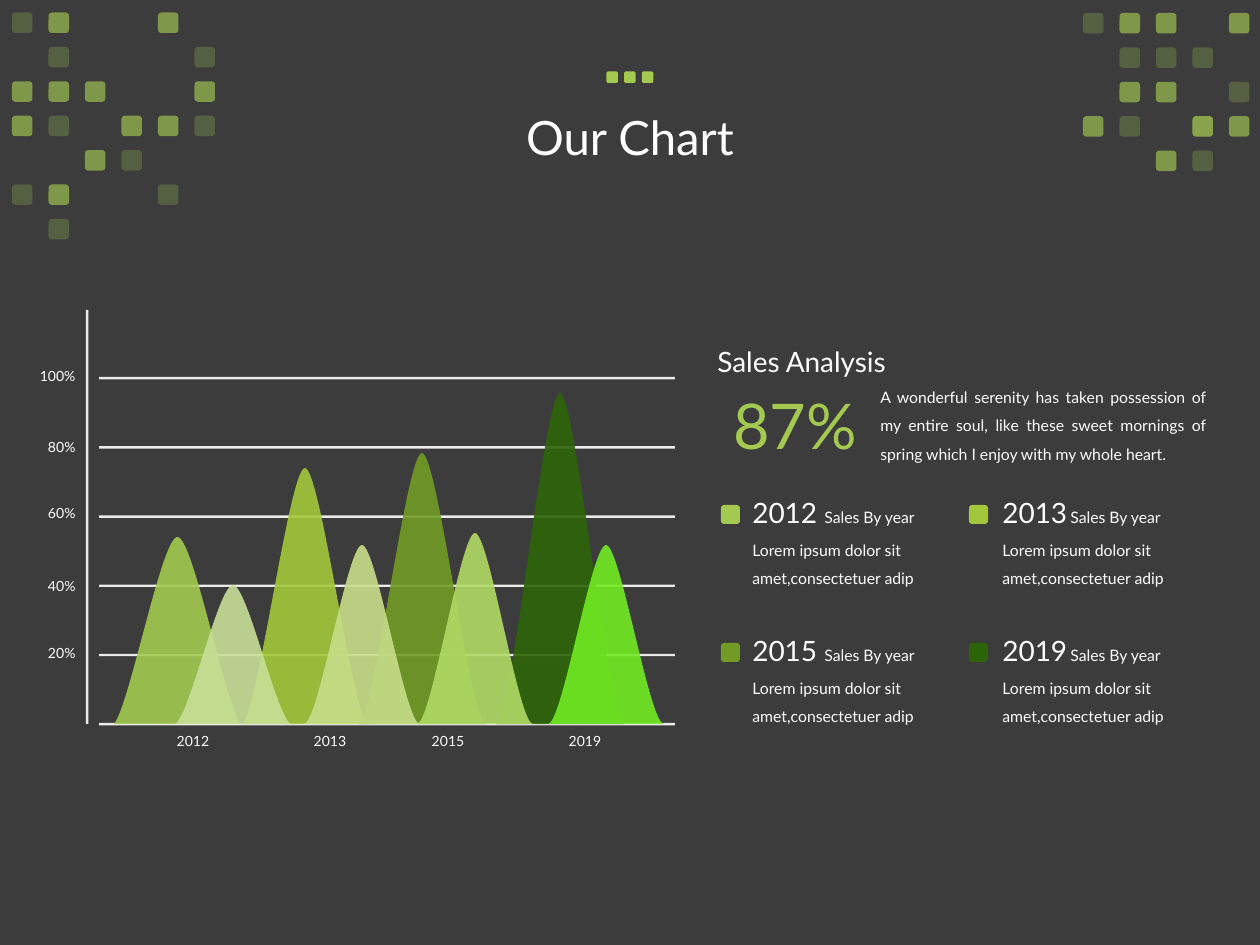
from lxml.etree import SubElement
from pptx import Presentation
from pptx.dml.color import RGBColor
from pptx.enum.shapes import MSO_SHAPE
from pptx.enum.text import MSO_ANCHOR, PP_ALIGN
from pptx.oxml.ns import qn
from pptx.util import Pt

PX = 9144000 / 1260
FONT = "Lato"
DARK = RGBColor(0x3C, 0x3C, 0x3C)
WHITE = RGBColor(0xFF, 0xFF, 0xFF)
LIME = RGBColor(0xA3, 0xC9, 0x51)
MOSS = RGBColor(0xA3, 0xC7, 0x3A)
OLIVE = RGBColor(0x72, 0x9B, 0x25)
FOREST = RGBColor(0x2D, 0x64, 0x09)
PALE = RGBColor(0xC8, 0xDF, 0x97)
NEON = RGBColor(0x72, 0xEB, 0x22)
LEAF = RGBColor(0xB1, 0xDA, 0x65)
SAND = RGBColor(0xC8, 0xDD, 0x89)

BASE = 724
PEAKS = [
    (114, 127, 537, 0.1, LIME),
    (496, 128, 393, 0, FOREST),
    (241, 128, 468, 0, MOSS),
    (358, 128, 453, 0, OLIVE),
    (175, 116, 585, 0.05, PALE),
    (548, 116, 545, 0, NEON),
    (417, 116, 533, 0, LEAF),
    (304, 116, 545, 0, SAND),
]
TICKS = [("20%", 638), ("40%", 571), ("60%", 498), ("80%", 432), ("100%", 361)]
YEARS = [("2012", 164), ("2013", 301), ("2015", 419), ("2019", 556)]
CARDS = [
    ("2012", 721, 740, 812, LIME),
    ("2013", 969, 990, 1058, MOSS),
    ("2015", 721, 740, 812, OLIVE),
    ("2019", 969, 990, 1058, FOREST),
]
LOREM = "Lorem ipsum dolor sit amet,consectetuer adip"
QUOTE = ("A wonderful serenity has taken possession of my entire soul, like these "
         "sweet mornings of spring which I enjoy with my whole heart.")
LEFT = ["o#..#.", ".o...o", "###..#", "#o.##o", "..#o..", "o#..o.", ".o...."]
RIGHT = ["o##.#", ".ooo.", ".##.o", "#o.*#", "..#o."]
TONES = {".": [], "o": [25], "#": [65], "*": [65, 25]}


def px(*nums):
    return [round(n * PX) for n in nums]


def paint(shape, color, alpha=100):
    shape.shadow.inherit = False
    shape.fill.solid()
    shape.fill.fore_color.rgb = color
    shape.line.fill.background()
    if alpha < 100:
        tone = shape.fill._xPr.find(".//" + qn("a:srgbClr"))
        SubElement(tone, qn("a:alpha")).set("val", str(alpha * 1000))


def block(host, kind, x, y, w, h, color, alpha=100):
    paint(host.add_shape(kind, *px(x, y, w, h)), color, alpha)


def style(para, size, color=WHITE, align=PP_ALIGN.LEFT, space=None):
    para.alignment = align
    para.line_spacing = space
    para.font.name = FONT
    para.font.size = Pt(size)
    para.font.color.rgb = color


def write(text, x, y, w, h, size, color=WHITE, align=PP_ALIGN.LEFT, space=None, wrap=True):
    frame = slide.shapes.add_textbox(*px(x, y, w, h)).text_frame
    frame.word_wrap = wrap
    frame.text = text
    style(frame.paragraphs[0], size, color, align, space)


def bend(shape):
    path = shape._element.find(".//" + qn("a:path"))
    lines = path.findall(qn("a:lnTo"))
    for first in range(0, len(lines), 3):
        trio = lines[first:first + 3]
        curve = path.makeelement(qn("a:cubicBezTo"))
        trio[0].addprevious(curve)
        for line in trio:
            curve.append(line[0])
            path.remove(line)


def peak(x, w, top, lift, color):
    foot = BASE - lift * (BASE - top)
    dots = [(0, BASE), (1 / 8, foot), (3 / 8, top), (1 / 2, top),
            (5 / 8, top), (7 / 8, foot), (1, BASE)]
    dots = [px(x + w * part, y) for part, y in dots]
    path = slide.shapes.build_freeform(*dots[0])
    path.add_line_segments(dots[1:], close=True)
    shape = path.convert_to_shape()
    bend(shape)
    paint(shape, color, 90)


def mosaic(rows, left, top):
    group = slide.shapes.add_group_shape().shapes
    for row, marks in enumerate(rows):
        for col, mark in enumerate(marks):
            for alpha in TONES[mark]:
                block(group, MSO_SHAPE.ROUNDED_RECTANGLE, left + 36.5 * col,
                      top + 34.4 * row, 20.5, 20.5, LIME, alpha)


deck = Presentation()
deck.slide_width, deck.slide_height = px(1260, 945)
slide = deck.slides.add_slide(deck.slide_layouts[5])
slide.background.fill.solid()
slide.background.fill.fore_color.rgb = DARK

title = slide.shapes.title
title.left, title.top, title.width, title.height = px(87, 49, 1086, 183)
title.text_frame.text = "Our Chart"
title.text_frame.vertical_anchor = MSO_ANCHOR.MIDDLE
style(title.text_frame.paragraphs[0], 27, WHITE, PP_ALIGN.CENTER, 0.9)

for row in range(6):
    block(slide.shapes, MSO_SHAPE.RECTANGLE, 99, 377 + 69.2 * row, 576, 2.5, WHITE, 90)
block(slide.shapes, MSO_SHAPE.RECTANGLE, 86, 310, 2.5, 414, WHITE, 90)
for item in PEAKS:
    peak(*item)
for text, y in TICKS:
    write(text, 26, y, 62, 30, 8, align=PP_ALIGN.RIGHT, wrap=False)
for text, x in YEARS:
    write(text, x, 726, 58, 30, 8, align=PP_ALIGN.CENTER, wrap=False)

for spot, (year, key, x, note, color) in enumerate(CARDS):
    y = 490 + spot // 2 * 138
    write(year, x, y - 1, 110, 52, 16)
    write("Sales By year", note, y + 12, 140, 28, 9)
    write(LOREM, x, y + 35, 208, 67, 9, space=1.5)
    block(slide.shapes, MSO_SHAPE.ROUNDED_RECTANGLE, key, y + 15, 19, 19, color)

write("Sales Analysis", 705, 338, 205, 47, 16, wrap=False)
write(QUOTE, 868, 372, 350, 95, 9, align=PP_ALIGN.JUSTIFY, space=1.5)
write("87%", 721, 380, 151, 89, 36, LIME, wrap=False)

mosaic(LEFT, 12, 12.5)
mosaic(RIGHT, 1083, 13)
dots = slide.shapes.add_group_shape().shapes
for col in range(3):
    block(dots, MSO_SHAPE.ROUNDED_RECTANGLE, 606.5 + 17.7 * col, 71.5, 11.5, 11.5, LIME)

deck.save("out.pptx")
